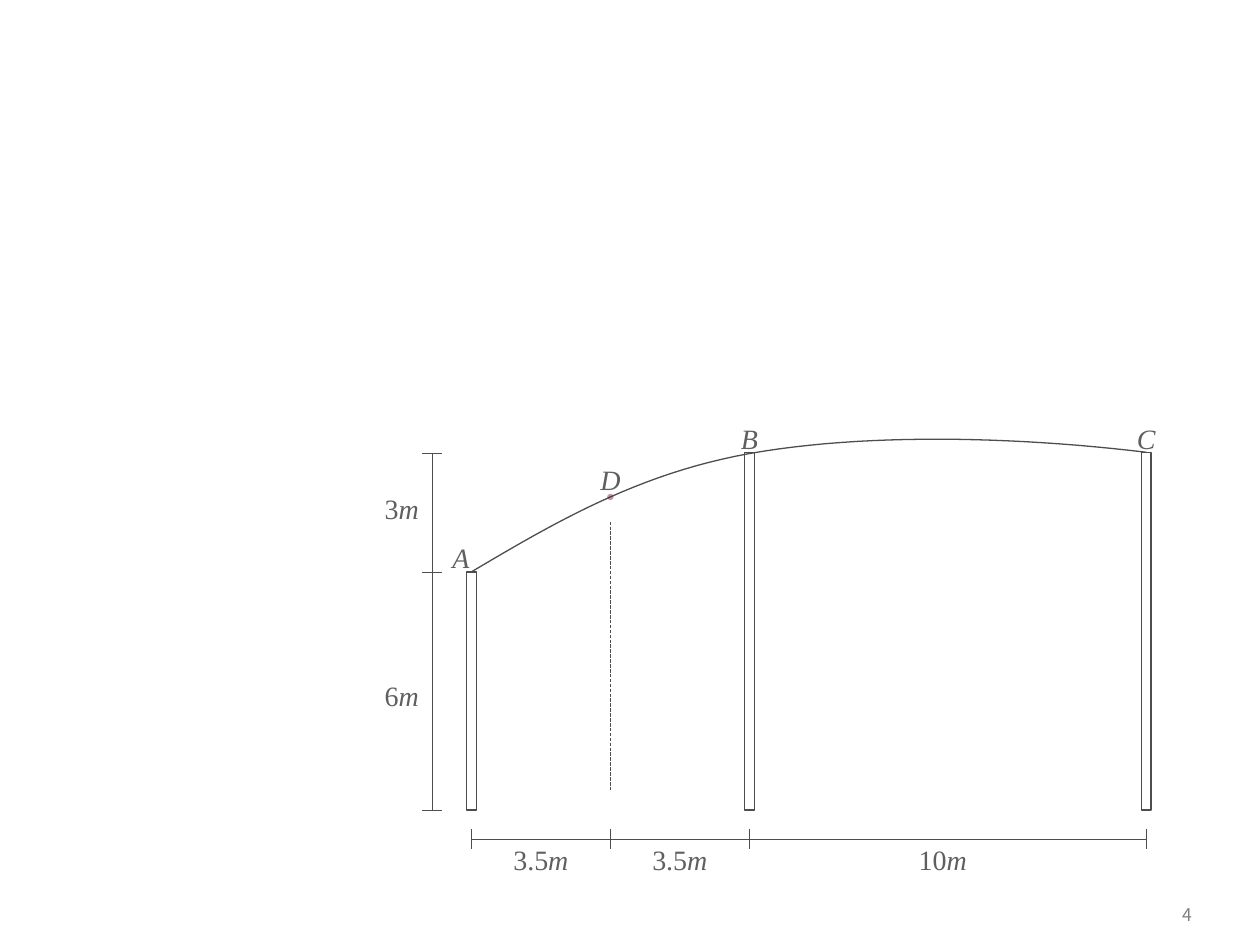
from dataclasses import dataclass
from lxml.etree import SubElement
from pptx import Presentation
from pptx.dml.color import RGBColor as RGB
from pptx.enum.dml import MSO_LINE as Dash
from pptx.enum.shapes import MSO_CONNECTOR as Conn, MSO_SHAPE as Shape
from pptx.enum.text import MSO_ANCHOR as Anchor, PP_ALIGN as Align
from pptx.oxml.ns import qn
from pptx.util import Pt


@dataclass(frozen=True)
class Theme:
    """Colours, fonts, type sizes and line widths."""
    ink: RGB = RGB(0x4D, 0x4D, 0x4D)
    text: RGB = RGB(0x5F, 0x5F, 0x5F)
    grey: RGB = RGB(0x80, 0x80, 0x80)
    dot: RGB = RGB(0x6B, 0x01, 0x31)
    serif: str = "Times New Roman"
    sans: str = "Noto Sans CJK KR"
    size: int = 16
    small: int = 10
    thin: float = 0.25
    bold: float = 0.75


# Poles: name, distance and height in metres, label shift in points
POLES = [("A", 0, 6, -6), ("B", 7, 9, 0), ("C", 17, 9, 0)]
# Spans: number, start and end in metres, label shift in points
SPANS = [("3.5", 0, 3.5, 0), ("3.5", 3.5, 7, 0), ("10", 7, 17, -2.9)]
RISES = [("6", 0, 6, 2.5), ("3", 6, 9, -2.5)]
# Wire: cubic curves through A, B and C, in points
WIRE = [
    [(269.4, 326.8), (316.8, 298.8), (364.3, 270.7), (428.4, 259.2)],
    [(428.4, 259.2), (493.2, 247.7), (577.4, 249.1), (655.2, 258.5)],
]
MID = ("D", 3.5, 282.2)
PAGE = "4"

LEFT, GROUND, METRE = 269.4, 462.86, 22.68
RULE_X, RULE_Y = 246.7, 479.5
TICK, POLE, DOT, STEPS = 5.67, 5.67, 3.6, 24

theme = Theme()
deck = Presentation()
deck.slide_width, deck.slide_height = Pt(720), Pt(540)
slide = deck.slides.add_slide(deck.slide_layouts[6])
shapes = slide.shapes


def across(m):
    """Turn a distance in metres into x."""
    return LEFT + m * METRE


def above(m):
    """Turn a height in metres into y."""
    return GROUND - m * METRE


def label(x, y, *parts, wide=40, high=22, font=theme.serif,
          size=theme.size, color=theme.text, align=Align.CENTER):
    """Centre a text on x, y; a part that is a letter is italic."""
    box = shapes.add_textbox(Pt(x - wide / 2), Pt(y - high / 2), Pt(wide), Pt(high))
    frame = box.text_frame
    frame.word_wrap = True
    frame.vertical_anchor = Anchor.MIDDLE
    frame.margin_left = frame.margin_right = 0
    frame.margin_top = frame.margin_bottom = 0
    para = frame.paragraphs[0]
    para.alignment = align
    for part in parts:
        run = para.add_run()
        run.text = part
        run.font.name, run.font.size = font, Pt(size)
        run.font.color.rgb = color
        run.font.italic = part.isalpha()


def rule(x1, y1, x2, y2, dash=None):
    """Draw a thin straight line."""
    line = shapes.add_connector(Conn.STRAIGHT, Pt(x1), Pt(y1), Pt(x2), Pt(y2))
    line.line.color.rgb = theme.ink
    line.line.width = Pt(theme.thin)
    line.line.dash_style = dash
    SubElement(line._element.spPr, qn("a:effectLst"))


def outline(shape):
    """Give a shape a dark line and no fill."""
    shape.shadow.inherit = False
    shape.fill.background()
    shape.line.color.rgb = theme.ink
    shape.line.width = Pt(theme.bold)


def bend(curve, t):
    """Find the point at t on a cubic curve."""
    u = 1 - t
    parts = (u ** 3, 3 * u * u * t, 3 * u * t * t, t ** 3)
    return tuple(sum(k * p[i] for k, p in zip(parts, curve)) for i in (0, 1))


def draw_poles():
    """Draw the poles and their names."""
    for name, far, tall, shift in POLES:
        x, y = across(far), above(tall)
        outline(shapes.add_shape(Shape.RECTANGLE, Pt(x - POLE / 2), Pt(y),
                                 Pt(POLE), Pt(tall * METRE)))
        label(x + shift, y - 8.3, name)


def draw_rules():
    """Draw the height and distance scales."""
    rule(RULE_X, above(0), RULE_X, above(9))
    for m in (0, 6, 9):
        rule(RULE_X - TICK, above(m), RULE_X + TICK, above(m))
    for num, low, top, shift in RISES:
        label(229.5, above((low + top) / 2) + shift, num, "m")
    rule(across(0), RULE_Y, across(17), RULE_Y)
    for m in (0, 3.5, 7, 17):
        rule(across(m), RULE_Y - TICK, across(m), RULE_Y + TICK)
    for num, start, end, shift in SPANS:
        label(across((start + end) / 2) + shift, RULE_Y + 11.3, num, "m")


def draw_wire():
    """Draw the wire as a smooth run of points."""
    points = [bend(c, i / STEPS) for c in WIRE for i in range(1, STEPS + 1)]
    x, y = WIRE[0][0]
    path = shapes.build_freeform(Pt(x), Pt(y))
    path.add_line_segments([(Pt(a), Pt(b)) for a, b in points], close=False)
    outline(path.convert_to_shape())


def draw_mid():
    """Draw point D and the dashed line under it."""
    name, far, y = MID
    x = across(far)
    dot = shapes.add_shape(Shape.OVAL, Pt(x - DOT / 2), Pt(y + 1.8 - DOT / 2),
                           Pt(DOT), Pt(DOT))
    dot.shadow.inherit = False
    dot.fill.solid()
    dot.fill.fore_color.rgb = theme.dot
    color = dot._element.spPr.find(".//" + qn("a:srgbClr"))
    SubElement(color, qn("a:alpha")).set("val", "40000")
    dot.line.fill.background()
    label(x, y - 8.3, name)
    rule(x, 298.1, x, 451.4, Dash.LONG_DASH)


draw_poles()
draw_rules()
draw_wire()
draw_mid()
label(659.5, 522.5, PAGE, wide=44, high=24, font=theme.sans,
      size=theme.small, color=theme.grey, align=Align.RIGHT)
deck.save("out.pptx")
